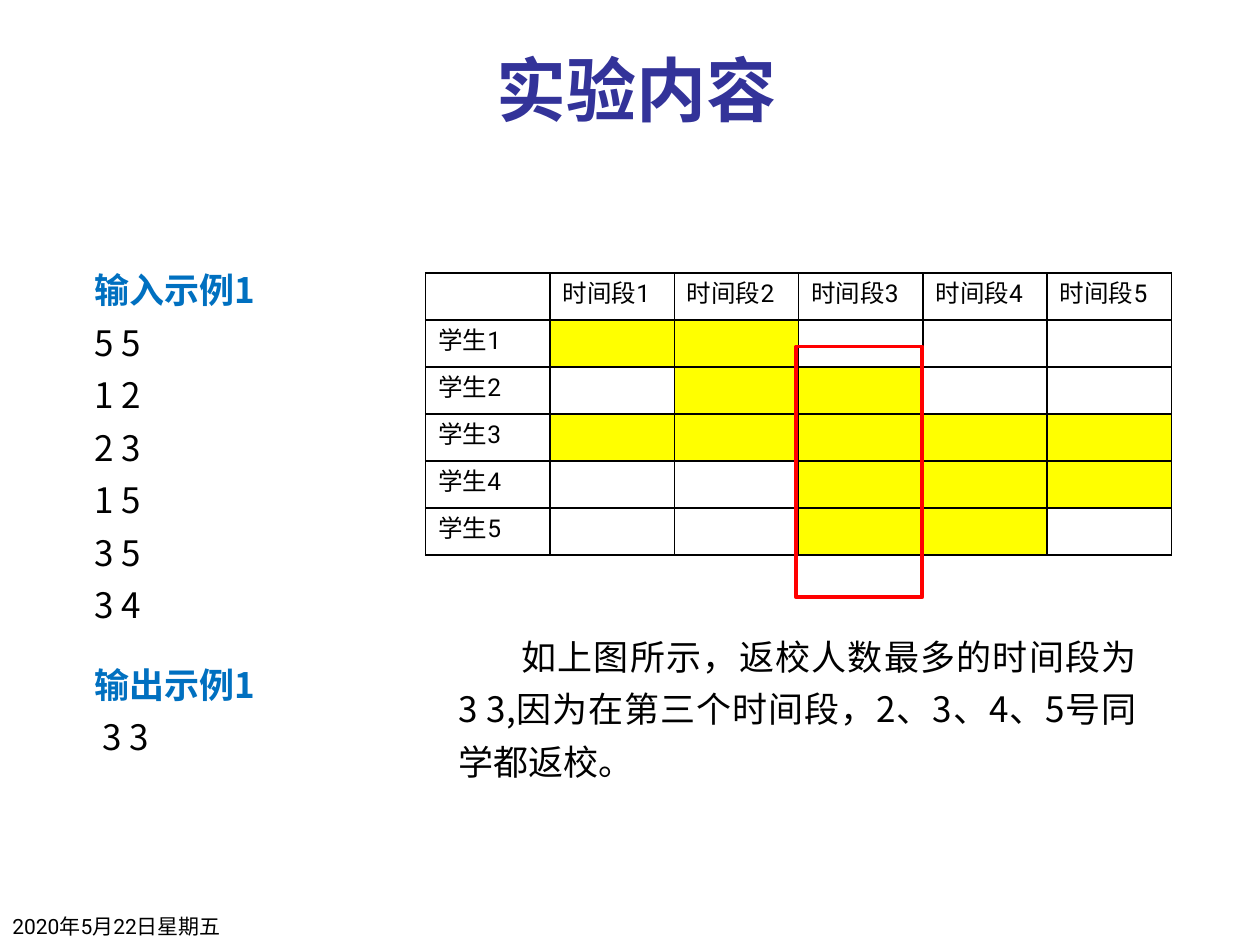
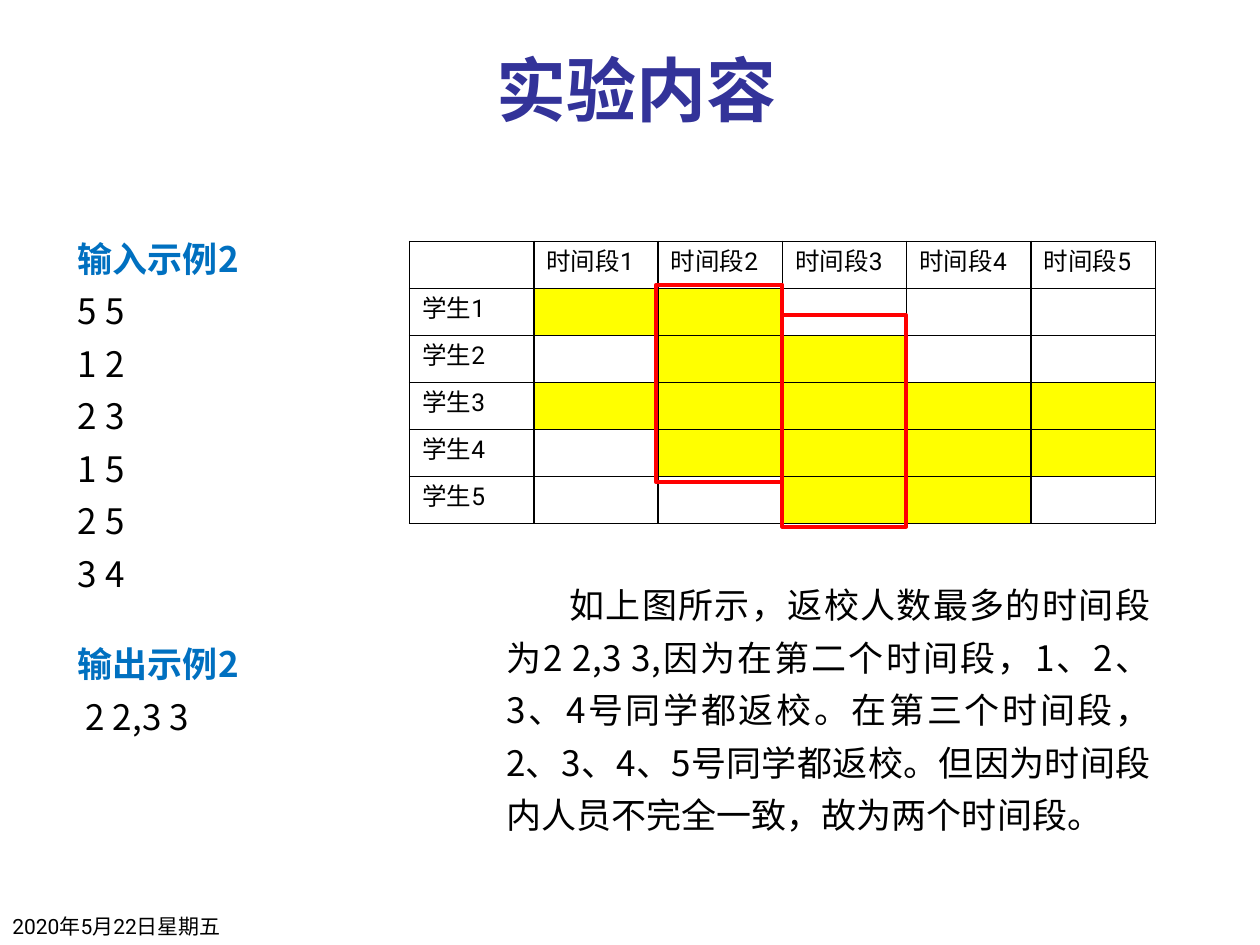
from lxml.etree import SubElement
from pptx import Presentation
from pptx.dml.color import RGBColor
from pptx.enum.shapes import MSO_SHAPE
from pptx.enum.text import MSO_ANCHOR, MSO_AUTO_SIZE, PP_ALIGN
from pptx.oxml import parse_xml
from pptx.oxml.ns import nsdecls, qn
from pptx.util import Pt

TITLE_BLUE, HEADING_BLUE = "333399", "0070C0"
BLACK, YELLOW, RED = "000000", "FFFF00", "FF0000"
HEADING_FONT, SMALL_FONT = "Noto Sans CJK SC", "Roboto"
PERIODS = 5
COLUMN_WIDTH, ROW_HEIGHT = 71.04, 26.88


def write(text_frame, text, size=20, font=HEADING_FONT, color=BLACK, bold=False,
          align=PP_ALIGN.LEFT, spacing=1.0, left=0, indent=0):
    """Add a paragraph, reusing the first one while it is still empty."""
    paragraph = text_frame.paragraphs[0]
    if paragraph.runs:
        paragraph = text_frame.add_paragraph()
    paragraph.alignment = align
    paragraph.line_spacing = spacing
    properties = paragraph._p.get_or_add_pPr()
    properties.set("marL", str(Pt(left)))
    properties.set("indent", str(Pt(indent)))
    if not text:
        SubElement(paragraph._p, qn("a:endParaRPr")).set("sz", str(size * 100))
        return
    run = paragraph.add_run()
    run.text = text
    run.font.size = Pt(size)
    run.font.bold = bold
    run.font.name = font
    run.font.color.rgb = RGBColor.from_string(color)
    SubElement(run._r.get_or_add_rPr(), qn("a:ea")).set("typeface", font)


def add_text_box(slide, left, top, width, height, bottom=False):
    text_frame = slide.shapes.add_textbox(Pt(left), Pt(top), Pt(width), Pt(height)).text_frame
    text_frame.word_wrap = True
    if bottom:
        text_frame.vertical_anchor = MSO_ANCHOR.BOTTOM
    else:
        text_frame.auto_size = MSO_AUTO_SIZE.SHAPE_TO_FIT_TEXT
    return text_frame


# Each stay is the first and last period in which a student is back at school.
examples = [
    {
        "number": 1,
        "stays": [(1, 2), (2, 3), (1, 5), (3, 5), (3, 4)],
        "answer": "3 3",
        "input_box": (46.8, 144, 114.5, 216.7),
        "output_box": (46.8, 369.4, 114.5, 64.8),
        "table_corner": (243.2, 156),
        "best_periods": [(455, 198, 72, 143.3)],
        "explanation_box": (254.9, 353.5, 401.8, 95),
        "explanation": "如上图所示，返校人数最多的时间段为3 3,因为在第三个时间段，"
                       "2、3、4、5号同学都返校。",
    },
    {
        "number": 2,
        "stays": [(1, 2), (2, 3), (1, 5), (2, 5), (3, 4)],
        "answer": "2 2,3 3",
        "input_box": (37.4, 126, 112.3, 216.7),
        "output_box": (37.4, 357.8, 112.3, 64.8),
        "table_corner": (234, 138),
        "best_periods": [(447.1, 180, 70.6, 121), (375.1, 162.7, 72, 113)],
        "explanation_box": (282.2, 324, 382.3, 156.2),
        "explanation": "如上图所示，返校人数最多的时间段为2 2,3 3,因为在第二个时间段，"
                       "1、2、3、4号同学都返校。在第三个时间段，2、3、4、5号同学都返校。"
                       "但因为时间段内人员不完全一致，故为两个时间段。",
    },
]

body = {"align": PP_ALIGN.JUSTIFY, "spacing": 1.25}
hanging = {**body, "left": 27, "indent": -27}
heading = {**hanging, "color": HEADING_BLUE, "bold": True}

presentation = Presentation()
presentation.slide_width, presentation.slide_height = Pt(720), Pt(540)

for example in examples:
    slide = presentation.slides.add_slide(presentation.slide_layouts[6])
    stays = example["stays"]

    title = add_text_box(slide, 60, 18, 607.5, 60, bottom=True)
    write(title, "实验内容", size=40, color=TITLE_BLUE, bold=True, align=PP_ALIGN.CENTER)
    date = add_text_box(slide, 0, 504, 150, 36, bottom=True)
    write(date, "2020年5月22日星期五", size=12, font=SMALL_FONT)

    # Sample input and output
    sample_input = add_text_box(slide, *example["input_box"])
    write(sample_input, f"输入示例{example['number']}", **heading)
    for first, last in [(len(stays), PERIODS), *stays]:
        write(sample_input, f"{first} {last}", **hanging)
    sample_output = add_text_box(slide, *example["output_box"])
    write(sample_output, f"输出示例{example['number']}", **heading)
    write(sample_output, f" {example['answer']}", **body)

    # Timetable: yellow marks the periods of each stay
    rows, columns = len(stays) + 1, PERIODS + 1
    left, top = example["table_corner"]
    table = slide.shapes.add_table(rows, columns, Pt(left), Pt(top), Pt(columns * COLUMN_WIDTH),
                                   Pt(rows * ROW_HEIGHT)).table
    table.first_row = table.horz_banding = False
    for column in table.columns:
        column.width = Pt(COLUMN_WIDTH)
    for row in table.rows:
        row.height = Pt(ROW_HEIGHT)
    for student in range(rows):
        for period in range(columns):
            cell = table.cell(student, period)
            label = ""
            if student == 0 and period > 0:
                label = f"时间段{period}"
            elif student > 0 and period == 0:
                label = f"学生{student}"
            write(cell.text_frame, label, size=14, font=SMALL_FONT)
            for side in ("lnL", "lnR", "lnT", "lnB"):
                cell._tc.get_or_add_tcPr().append(parse_xml(
                    f'<a:{side} {nsdecls("a")} w="{Pt(1)}"><a:solidFill>'
                    f'<a:srgbClr val="{BLACK}"/></a:solidFill></a:{side}>'))
            if student > 0 and stays[student - 1][0] <= period <= stays[student - 1][1]:
                cell.fill.solid()
                cell.fill.fore_color.rgb = RGBColor.from_string(YELLOW)
            else:
                cell.fill.background()

    # Red frames around the busiest periods
    for left, top, width, height in example["best_periods"]:
        frame = slide.shapes.add_shape(MSO_SHAPE.RECTANGLE, Pt(left), Pt(top),
                                       Pt(width), Pt(height))
        frame.shadow.inherit = False
        frame.fill.background()
        frame.line.color.rgb = RGBColor.from_string(RED)
        frame.line.width = Pt(2.25)

    explanation = add_text_box(slide, *example["explanation_box"])
    write(explanation, example["explanation"], indent=36, **body)

presentation.save("out.pptx")
